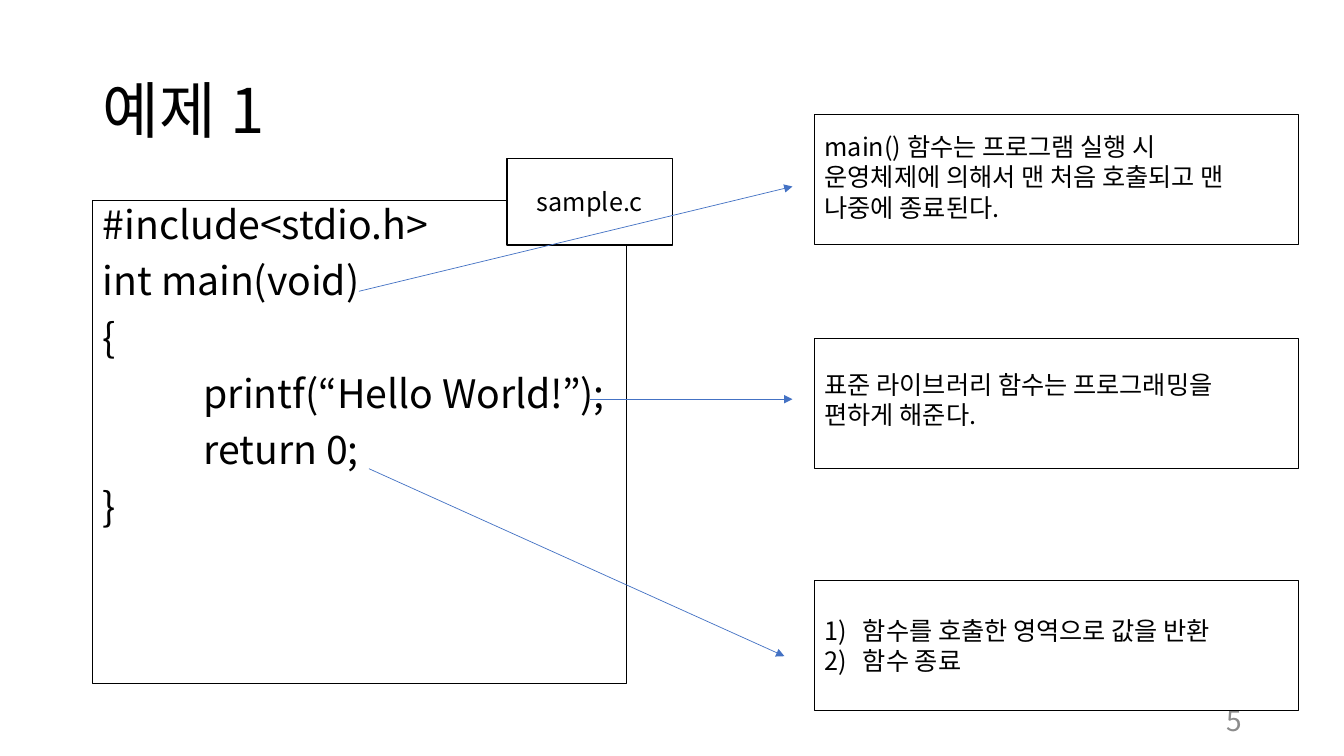
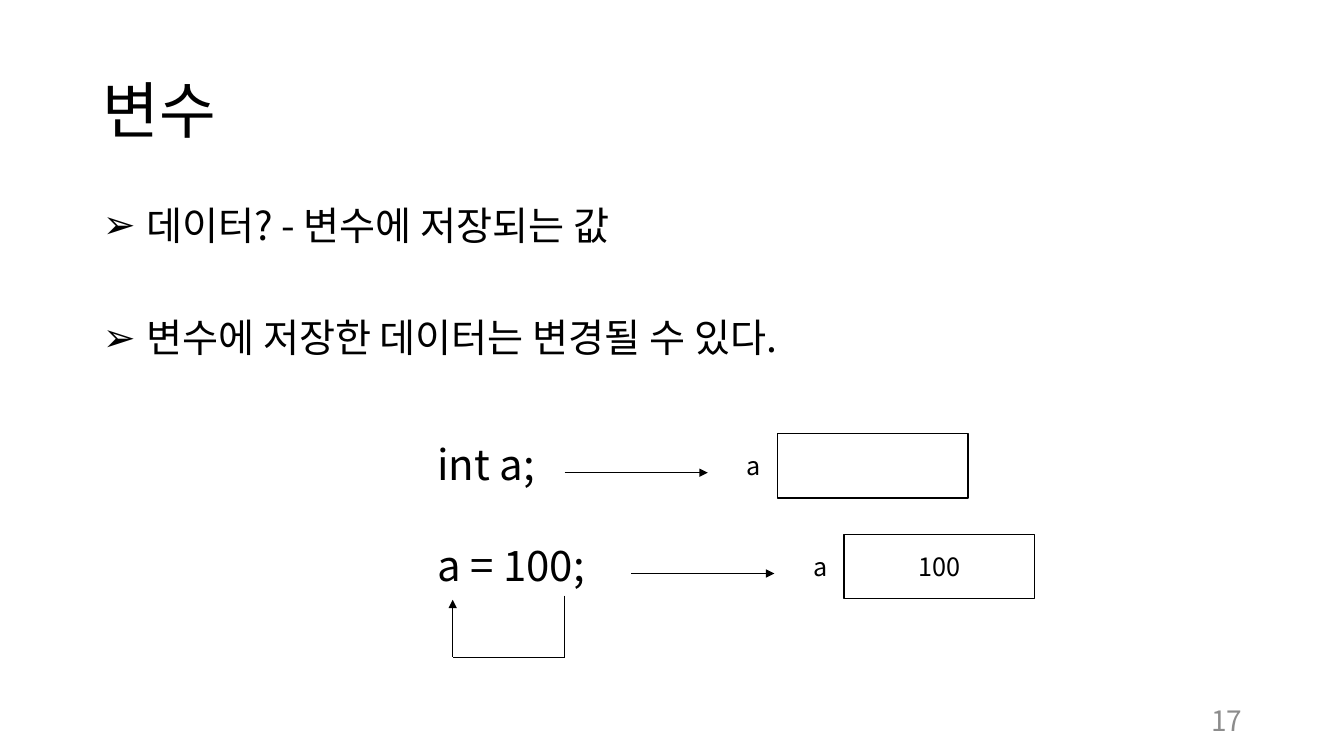
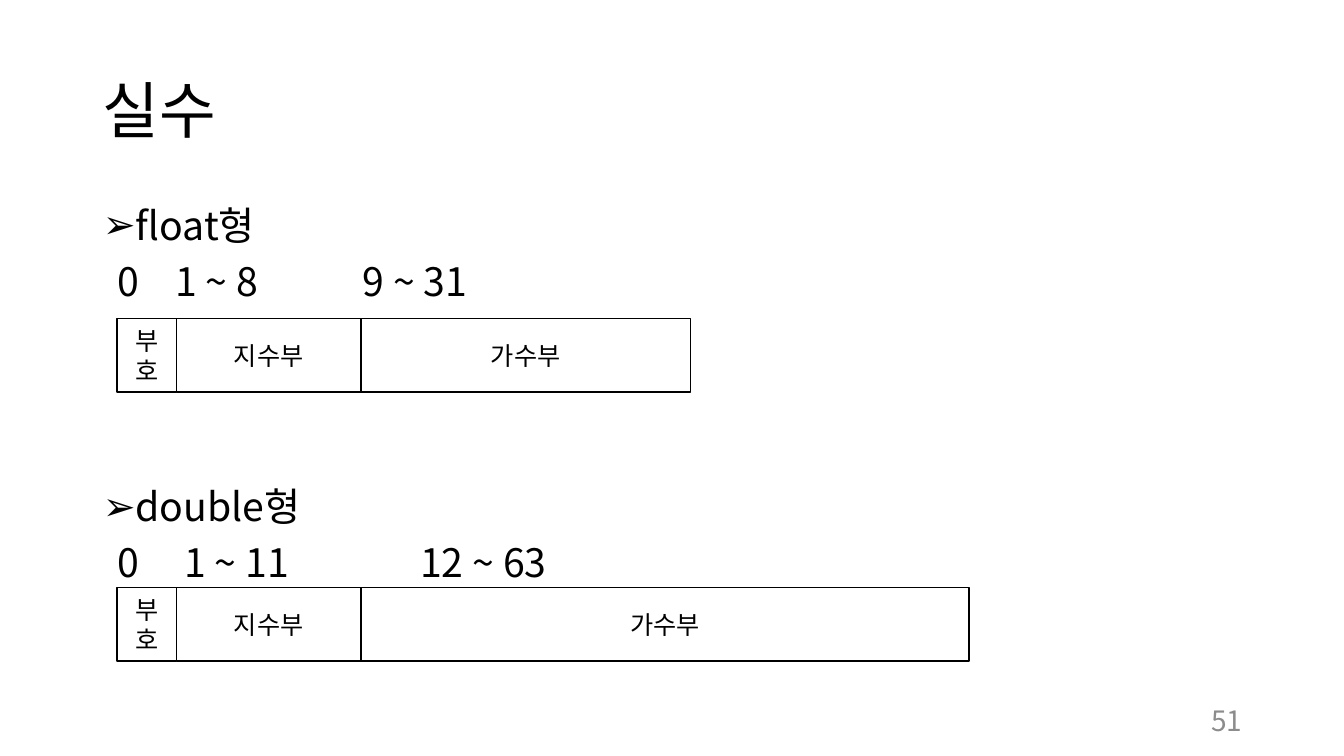
from dataclasses import dataclass
from itertools import pairwise

from lxml.etree import SubElement
from pptx import Presentation
from pptx.dml.color import RGBColor
from pptx.enum.shapes import MSO_CONNECTOR, MSO_SHAPE
from pptx.enum.text import MSO_ANCHOR, MSO_AUTO_SIZE, PP_ALIGN
from pptx.oxml.ns import qn
from pptx.presentation import Presentation as Deck
from pptx.shapes.autoshape import Shape
from pptx.slide import Slide
from pptx.text.text import TextFrame
from pptx.util import Inches, Pt

FONT = "Noto Sans CJK KR"
BLACK = RGBColor(0x00, 0x00, 0x00)
WHITE = RGBColor(0xFF, 0xFF, 0xFF)
GRAY = RGBColor(0x8C, 0x8C, 0x8C)
BLUE = RGBColor(0x44, 0x72, 0xC4)
MARGIN_LEFT = 0.92
CONTENT_WIDTH = 11.5
BULLET = "➢"

Point = tuple[float, float]


@dataclass(frozen=True)
class Area:
    left: float
    top: float
    width: float
    height: float


@dataclass(frozen=True)
class BodyLine:
    text: str
    bullet_indent: float = 0
    left_indent: float = 0
    space_before: float = 10


@dataclass(frozen=True)
class Callout:
    top: float
    lines: tuple[str, ...]
    bottom_margin: float = 0.05
    numbered: bool = False


@dataclass(frozen=True)
class MemoryCell:
    left: float
    top: float
    value: str


@dataclass(frozen=True)
class BitRange:
    left: float
    text: str


@dataclass(frozen=True)
class FloatLayout:
    top: float
    fraction_width: float
    range_top: float
    ranges: tuple[BitRange, ...]


def place(shape: Shape, area: Area) -> None:
    shape.left, shape.top = Inches(area.left), Inches(area.top)
    shape.width, shape.height = Inches(area.width), Inches(area.height)


def write(frame: TextFrame, lines: tuple[str, ...], size: float,
          align: PP_ALIGN = PP_ALIGN.LEFT, color: RGBColor = BLACK) -> None:
    frame.word_wrap = True
    frame.auto_size = MSO_AUTO_SIZE.NONE
    frame.text = "\n".join(lines)
    for para in frame.paragraphs:
        para.alignment = align
        for span in para.runs:
            span.font.name = FONT
            span.font.size = Pt(size)
            span.font.color.rgb = color
            SubElement(span._r.get_or_add_rPr(), qn("a:ea"), typeface=FONT)


def add_text(slide: Slide, area: Area, lines: tuple[str, ...], size: float,
             align: PP_ALIGN = PP_ALIGN.LEFT, color: RGBColor = BLACK) -> TextFrame:
    box = slide.shapes.add_textbox(Inches(area.left), Inches(area.top),
                                   Inches(area.width), Inches(area.height))
    write(box.text_frame, lines, size, align, color)
    return box.text_frame


def add_box(slide: Slide, area: Area, lines: tuple[str, ...] = (),
            align: PP_ALIGN = PP_ALIGN.CENTER, line_width: float = 1) -> TextFrame:
    box = slide.shapes.add_shape(MSO_SHAPE.RECTANGLE, Inches(area.left), Inches(area.top),
                                 Inches(area.width), Inches(area.height))
    box.shadow.inherit = False
    box.fill.solid()
    box.fill.fore_color.rgb = WHITE
    box.line.color.rgb = BLACK
    box.line.width = Pt(line_width)
    box.text_frame.vertical_anchor = MSO_ANCHOR.MIDDLE
    write(box.text_frame, lines, 18, align)
    return box.text_frame


def add_line(slide: Slide, start: Point, end: Point,
             color: RGBColor = BLACK, arrow: bool = True) -> None:
    connector = slide.shapes.add_connector(
        MSO_CONNECTOR.STRAIGHT, *(Inches(value) for value in (*start, *end)))
    connector.line.color.rgb = color
    connector.line.width = Pt(0.5)
    properties = connector.element.spPr
    if arrow:
        SubElement(properties.find(qn("a:ln")), qn("a:tailEnd"), type="triangle")
    SubElement(properties, qn("a:effectLst"))


def add_slide(deck: Deck, title: str, number: int, body_area: Area,
              body_lines: tuple[BodyLine, ...]) -> tuple[Slide, Shape]:
    slide = deck.slides.add_slide(deck.slide_layouts[1])
    heading, body = slide.placeholders
    place(heading, Area(MARGIN_LEFT, 0.4, CONTENT_WIDTH, 1.45))
    heading.text_frame.vertical_anchor = MSO_ANCHOR.MIDDLE
    write(heading.text_frame, (title,), 44)
    heading.text_frame.paragraphs[0].line_spacing = 0.9

    place(body, body_area)
    write(body.text_frame, tuple(line.text for line in body_lines), 28)
    for para, line in zip(body.text_frame.paragraphs, body_lines):
        para.line_spacing = 0.9
        para.space_before = Pt(line.space_before)
        properties = para._p.get_or_add_pPr()
        properties.set("marL", str(Inches(line.left_indent + line.bullet_indent)))
        properties.set("indent", str(-Inches(line.bullet_indent)))
        if line.bullet_indent:
            SubElement(properties, qn("a:buChar"), char=BULLET)
        else:
            SubElement(properties, qn("a:buNone"))

    page_number = add_text(slide, Area(9.42, 6.95, 3, 0.4), (str(number),), 20,
                           PP_ALIGN.RIGHT, GRAY)
    page_number.vertical_anchor = MSO_ANCHOR.MIDDLE
    return slide, body


def add_callout(slide: Slide, callout: Callout) -> None:
    frame = add_box(slide, Area(8.08, callout.top, 4.8, 1.29), callout.lines,
                    PP_ALIGN.LEFT, 0.75)
    frame.margin_right = Inches(0.3)
    frame.margin_bottom = Inches(callout.bottom_margin)
    if callout.numbered:
        for para in frame.paragraphs:
            properties = para._p.get_or_add_pPr()
            properties.set("marL", str(Inches(0.38)))
            properties.set("indent", str(-Inches(0.38)))
            SubElement(properties, qn("a:buAutoNum"), type="arabicParenR")


def build_example_slide(deck: Deck) -> None:
    code = (
        BodyLine("#include<stdio.h>"),
        BodyLine("int main(void)"),
        BodyLine("{"),
        BodyLine("printf(“Hello World!”);", left_indent=1),
        BodyLine("return 0;", left_indent=1),
        BodyLine("}"),
    )
    slide, body = add_slide(deck, "예제 1", 5, Area(MARGIN_LEFT, 1.99, 5.29, 4.79), code)
    body.line.color.rgb = BLACK
    body.line.width = Pt(0.75)
    add_box(slide, Area(5.03, 1.57, 1.64, 0.86), ("sample.c",))
    callouts = (
        Callout(1.14, ("main() 함수는 프로그램 실행 시 운영체제에 의해서 "
                       "맨 처음 호출되고 맨 나중에 종료된다.",), bottom_margin=0.11),
        Callout(3.36, ("표준 라이브러리 함수는 프로그래밍을 편하게 해준다.",),
                bottom_margin=0.14),
        Callout(5.76, ("함수를 호출한 영역으로 값을 반환", "함수 종료"), numbered=True),
    )
    for callout in callouts:
        add_callout(slide, callout)
    arrows = (
        ((3.56, 2.89), (7.86, 1.85)),
        ((3.66, 4.65), (7.78, 6.51)),
        ((5.85, 3.96), (7.86, 3.96)),
    )
    for start, end in arrows:
        add_line(slide, start, end, BLUE)


def add_memory_cell(slide: Slide, cell: MemoryCell) -> None:
    arrow_top = cell.top + 0.39
    add_line(slide, (cell.left - 2.11, arrow_top), (cell.left - 0.69, arrow_top))
    add_box(slide, Area(cell.left, cell.top, 1.89, 0.64), (cell.value,))
    add_text(slide, Area(cell.left - 0.4, cell.top + 0.12, 0.54, 0.4), ("a",), 18)


def build_variable_slide(deck: Deck) -> None:
    points = (
        BodyLine("데이터? - 변수에 저장되는 값", bullet_indent=0.43),
        BodyLine("변수에 저장한 데이터는 변경될 수 있다.", bullet_indent=0.43, space_before=50),
    )
    slide, _ = add_slide(deck, "변수", 17, Area(MARGIN_LEFT, 2, CONTENT_WIDTH, 1.75), points)
    code = add_text(slide, Area(4.24, 4.3, 2.43, 1.62), ("int a;", "a = 100;"), 30)
    code.paragraphs[1].space_before = Pt(36)
    for cell in (MemoryCell(7.71, 4.3, ""), MemoryCell(8.37, 5.3, "100")):
        add_memory_cell(slide, cell)
    assignment = ((5.6, 5.91), (5.6, 6.52), (4.49, 6.52), (4.49, 5.95))
    for start, end in pairwise(assignment):
        add_line(slide, start, end, arrow=end == assignment[-1])


def add_float_layout(slide: Slide, layout: FloatLayout) -> None:
    for bits in layout.ranges:
        add_text(slide, Area(bits.left, layout.range_top, 1.7, 0.57), (bits.text,), 28)
    left = 1.16
    for name, width in (("부호", 0.59), ("지수부", 1.83), ("가수부", layout.fraction_width)):
        add_box(slide, Area(left, layout.top, width, 0.73), (name,))
        left += width


def build_real_number_slide(deck: Deck) -> None:
    formats = (
        BodyLine("float형", bullet_indent=0.25),
        BodyLine("double형", bullet_indent=0.25, space_before=170.7),
    )
    slide, _ = add_slide(deck, "실수", 51, Area(MARGIN_LEFT, 2, CONTENT_WIDTH, 4.76), formats)
    layouts = (
        FloatLayout(3.16, 3.27, 2.5, (
            BitRange(1.07, "0"), BitRange(1.64, "1 ~ 8"), BitRange(3.5, "9 ~ 31"))),
        FloatLayout(5.83, 6.03, 5.29, (
            BitRange(1.07, "0"), BitRange(1.73, "1 ~ 11"), BitRange(4.07, "12 ~ 63"))),
    )
    for layout in layouts:
        add_float_layout(slide, layout)


def main() -> None:
    deck = Presentation()
    deck.slide_width = Inches(13.33)
    deck.slide_height = Inches(7.5)
    build_example_slide(deck)
    build_variable_slide(deck)
    build_real_number_slide(deck)
    deck.save("out.pptx")


if __name__ == "__main__":
    main()
